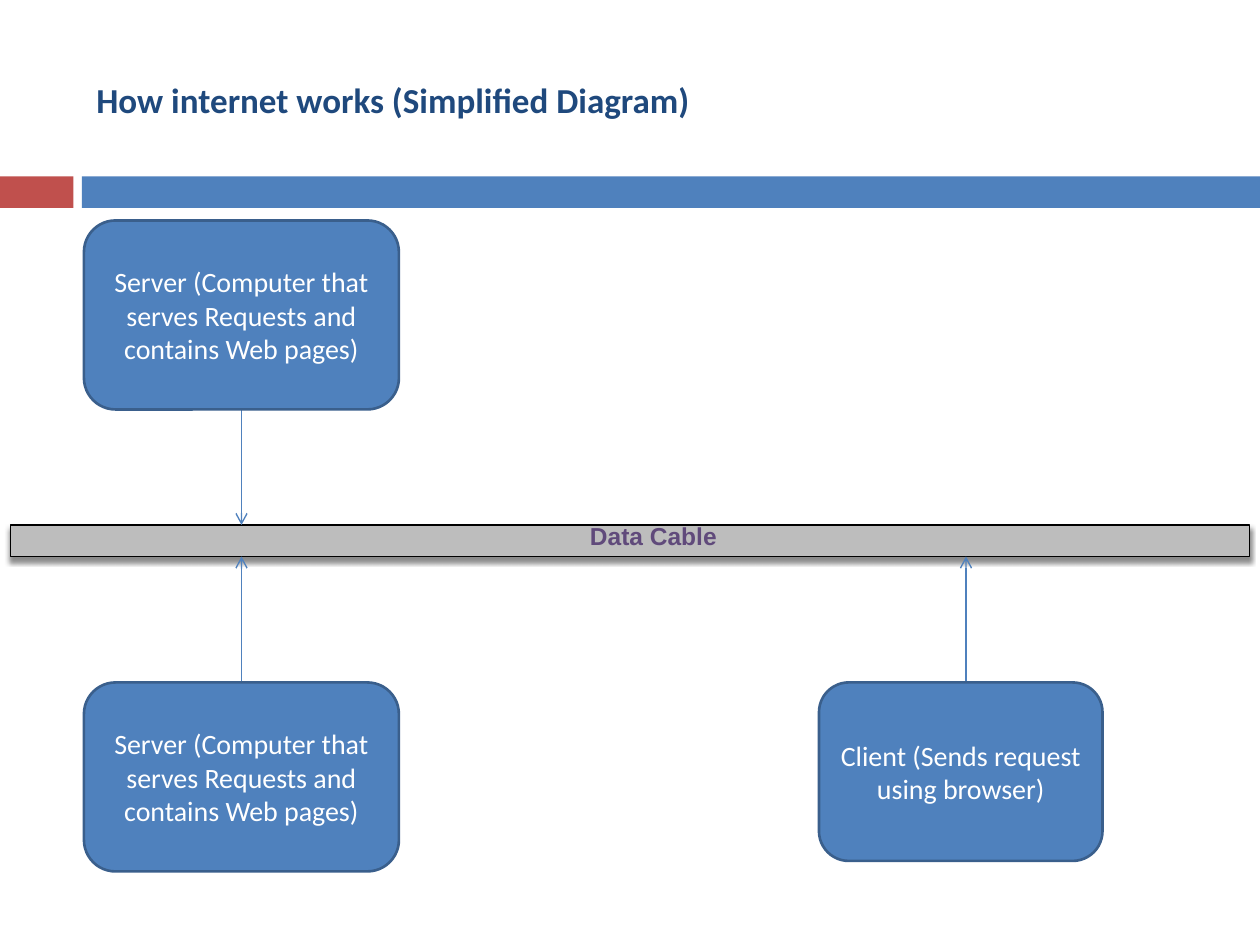
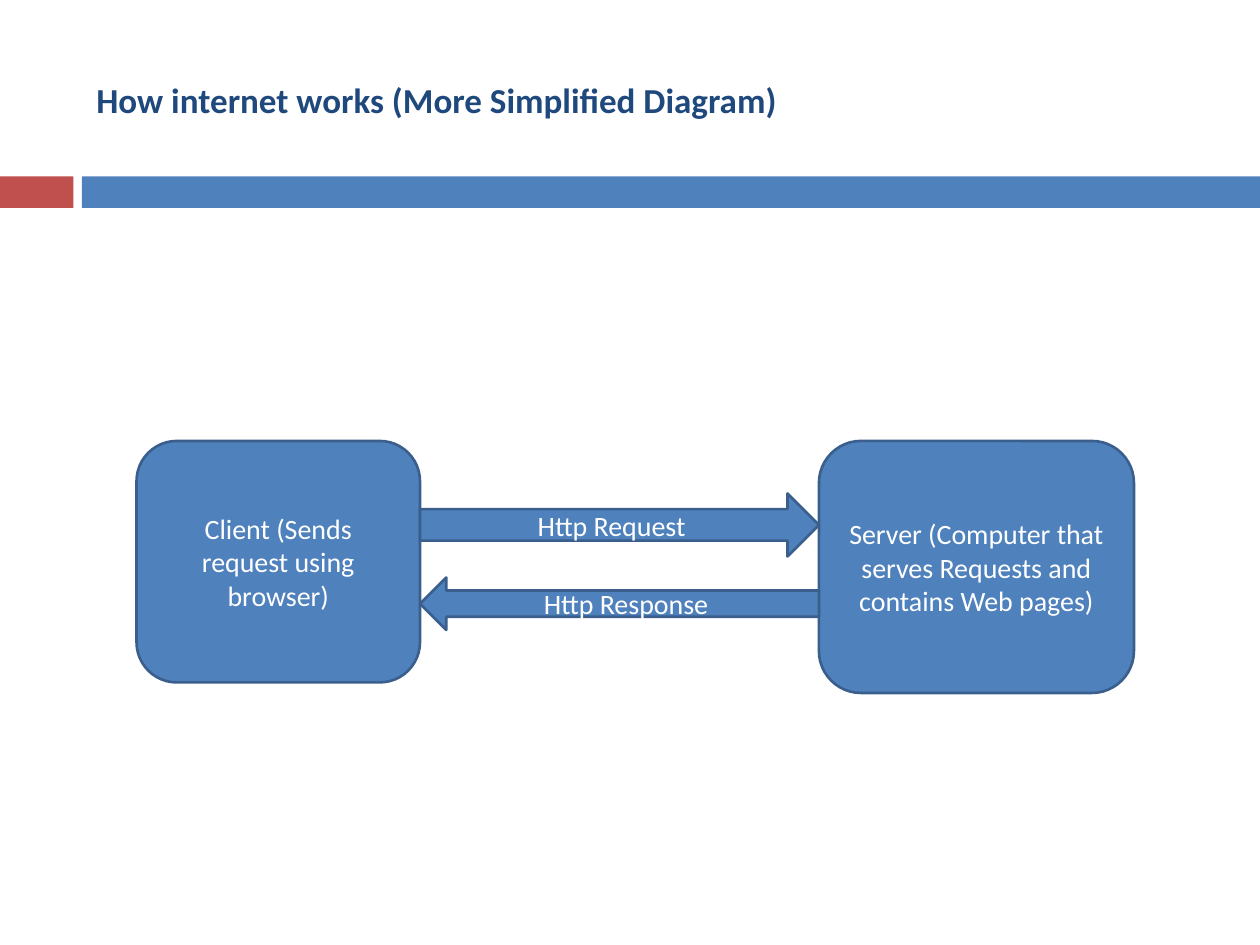
"""Builds two slides that explain how the internet works."""
from dataclasses import dataclass

from lxml import etree
from pptx import Presentation
from pptx import util as u
from pptx.dml.color import RGBColor
from pptx.enum import shapes, text
from pptx.oxml import ns

COLUMNS, ROWS = 120, 90
BLANK_LAYOUT = 6
SERVER = "Server (Computer that serves Requests and contains Web pages)"
CLIENT = "Client (Sends request using browser)"


@dataclass(frozen=True)
class Theme:
    """Colours, fonts and sizes that the slides share."""
    accent: str = "C0504D"
    main: str = "4F81BD"
    edge: str = "3A5F8C"
    heading: str = "1F497D"
    on_main: str = "FFFFFF"
    cable: str = "BDBDBD"
    cable_edge: str = "000000"
    cable_label: str = "604A7B"
    body_font: str = "Calibri"
    label_font: str = "Arial"
    title_size: int = 20
    body_size: int = 16
    label_size: int = 14
    thin: float = 0.79
    thick: float = 1.5


def rgb(code):
    """Turn a hex code into a colour."""
    return RGBColor.from_string(code)


def add_xml(parent, tag, **attributes):
    """Append a drawing element with the given attributes."""
    return etree.SubElement(parent, ns.qn(tag), attributes)


def write(shape, words, *, size, color, font, bold=False,
          align=text.PP_ALIGN.LEFT, anchor=text.MSO_ANCHOR.MIDDLE):
    """Put one formatted paragraph into a shape."""
    frame = shape.text_frame
    frame.word_wrap = True
    frame.vertical_anchor = anchor
    paragraph = frame.paragraphs[0]
    paragraph.alignment = align
    run = paragraph.add_run()
    run.text = words
    run.font.name, run.font.size = font, u.Pt(size)
    run.font.bold, run.font.color.rgb = bold, rgb(color)


class Deck:
    """Holds the style, the presentation and the current slide."""

    def __init__(self, theme):
        """Start a 4:3 presentation."""
        self.theme = theme
        self.show = Presentation()
        self.show.slide_width, self.show.slide_height = u.Inches(10), u.Inches(7.5)
        self.slide = None

    def place(self, column, row):
        """Convert a grid column and row to slide lengths."""
        return (round(self.show.slide_width * column / COLUMNS),
                round(self.show.slide_height * row / ROWS))

    def start_slide(self, title):
        """Add a slide with its title and the two-part band."""
        self.slide = self.show.slides.add_slide(self.show.slide_layouts[BLANK_LAYOUT])
        rectangle = shapes.MSO_SHAPE.RECTANGLE
        self.shape(rectangle, 0, 16.8, 7, 3, self.theme.accent)
        self.shape(rectangle, 7.8, 16.8, COLUMNS - 7.8, 3, self.theme.main)
        self.label(title, 8, 3, 107, 13, size=self.theme.title_size,
                   color=self.theme.heading, font=self.theme.body_font)

    def shape(self, preset, column, row, width, height, fill, edge=None, weight=0):
        """Draw a filled preset shape, outlined only if an edge is given."""
        shape = self.slide.shapes.add_shape(
            preset, *self.place(column, row), *self.place(width, height))
        shape.shadow.inherit = False
        shape.fill.solid()
        shape.fill.fore_color.rgb = rgb(fill)
        if edge:
            shape.line.color.rgb = rgb(edge)
            shape.line.width = u.Pt(weight)
        else:
            shape.line.fill.background()
        return shape

    def label(self, words, column, row, width, height, **style):
        """Add bold text without a shape behind it."""
        box = self.slide.shapes.add_textbox(
            *self.place(column, row), *self.place(width, height))
        write(box, words, bold=True, **style)

    def node(self, words, column, row, width, height,
             preset=shapes.MSO_SHAPE.ROUNDED_RECTANGLE):
        """Draw a blue shape with centred text."""
        theme = self.theme
        node = self.shape(preset, column, row, width, height,
                          theme.main, theme.edge, theme.thick)
        write(node, words, size=theme.body_size, color=theme.on_main,
              font=theme.body_font, align=text.PP_ALIGN.CENTER)

    def cable(self, words, column, row, width, height):
        """Draw the shaded data cable and its label."""
        theme = self.theme
        cable = self.shape(shapes.MSO_SHAPE.RECTANGLE, column, row, width, height,
                           theme.cable, theme.cable_edge, theme.thin)
        effects = cable._element.spPr.find(ns.qn("a:effectLst"))
        shadow = add_xml(effects, "a:outerShdw", blurRad=str(u.Pt(3)),
                         dist=str(u.Pt(2.4)), dir="5400000", rotWithShape="0")
        shade = add_xml(shadow, "a:srgbClr", val=theme.cable_edge)
        add_xml(shade, "a:alpha", val="45000")
        self.label(words, 55, row - 1, 52, 4, size=theme.label_size,
                   color=theme.cable_label, font=theme.label_font,
                   anchor=text.MSO_ANCHOR.TOP)

    def link(self, column, start_row, end_row):
        """Draw a vertical line with an open arrowhead at its end."""
        link = self.slide.shapes.add_connector(
            shapes.MSO_CONNECTOR.STRAIGHT,
            *self.place(column, start_row), *self.place(column, end_row))
        link.line.color.rgb = rgb(self.theme.main)
        link.line.width = u.Pt(self.theme.thin)
        add_xml(link.line._get_or_add_ln(), "a:tailEnd", type="arrow")
        add_xml(link._element.spPr, "a:effectLst")


def build_network(deck):
    """Two servers and a client joined by one cable."""
    deck.start_slide("How internet works (Simplified Diagram)")
    cable_top, cable_height = 50, 3
    cable_bottom = cable_top + cable_height
    left, upper, lower, width, height = 8, 21, 65, 30, 18
    server_middle = left + width / 2
    deck.cable("Data Cable", 1, cable_top, COLUMNS - 2, cable_height)
    deck.link(server_middle, upper + height, cable_top)
    for column in (server_middle, 92):
        deck.link(column, lower, cable_bottom)
    for row in (upper, lower):
        deck.node(SERVER, left, row, width, height)
    deck.node(CLIENT, 78, lower, 27, 17)


def build_exchange(deck):
    """A client and a server that exchange messages."""
    deck.start_slide("How internet works (More Simplified Diagram)")
    top, client_left, client_width, server_left = 42, 13, 27, 78
    client_right = client_left + client_width
    gap = server_left - client_right
    deck.node(SERVER, server_left, top, 30, 24)
    deck.node(CLIENT, client_left, top, client_width, 23)
    deck.node("Http Request", client_right, 47, gap, 6, shapes.MSO_SHAPE.RIGHT_ARROW)
    deck.node("Http Response", client_right, 55, gap, 5, shapes.MSO_SHAPE.LEFT_ARROW)


def main():
    """Build both slides and save them."""
    deck = Deck(Theme())
    build_network(deck)
    build_exchange(deck)
    deck.show.save("out.pptx")


main()
